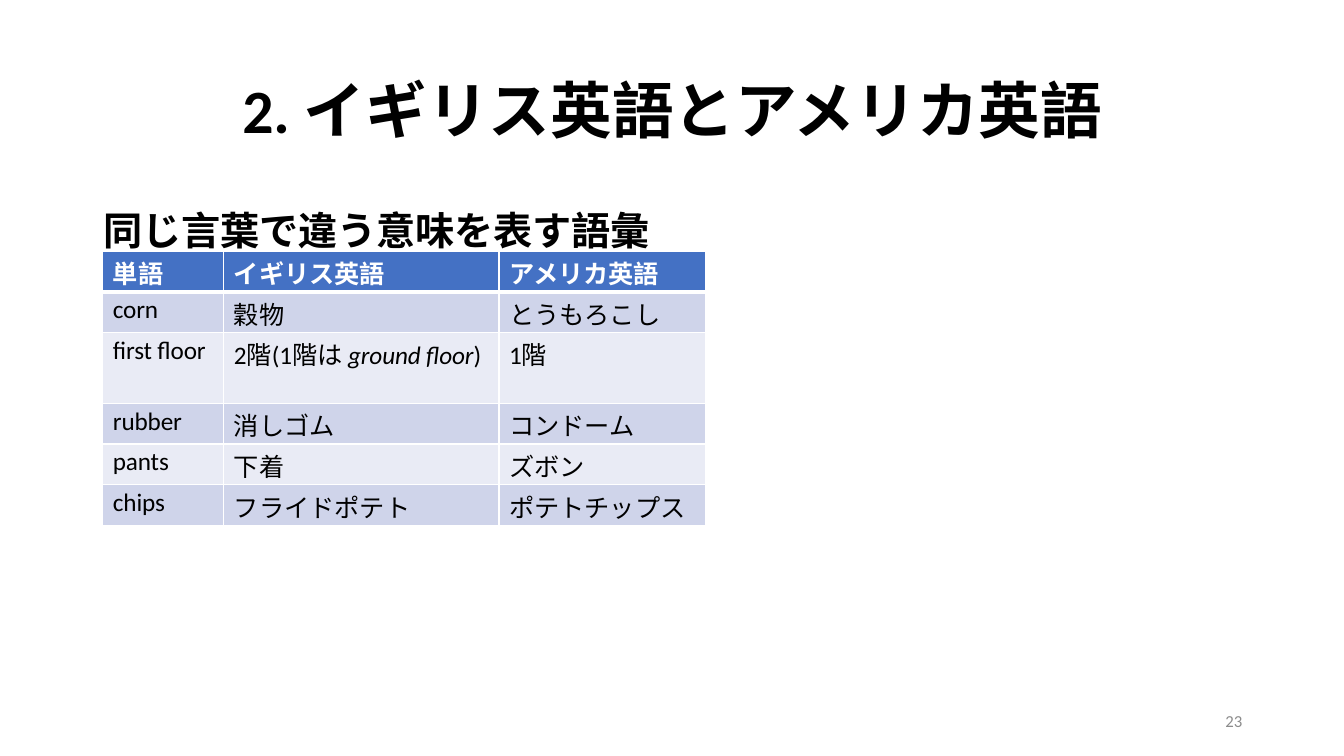
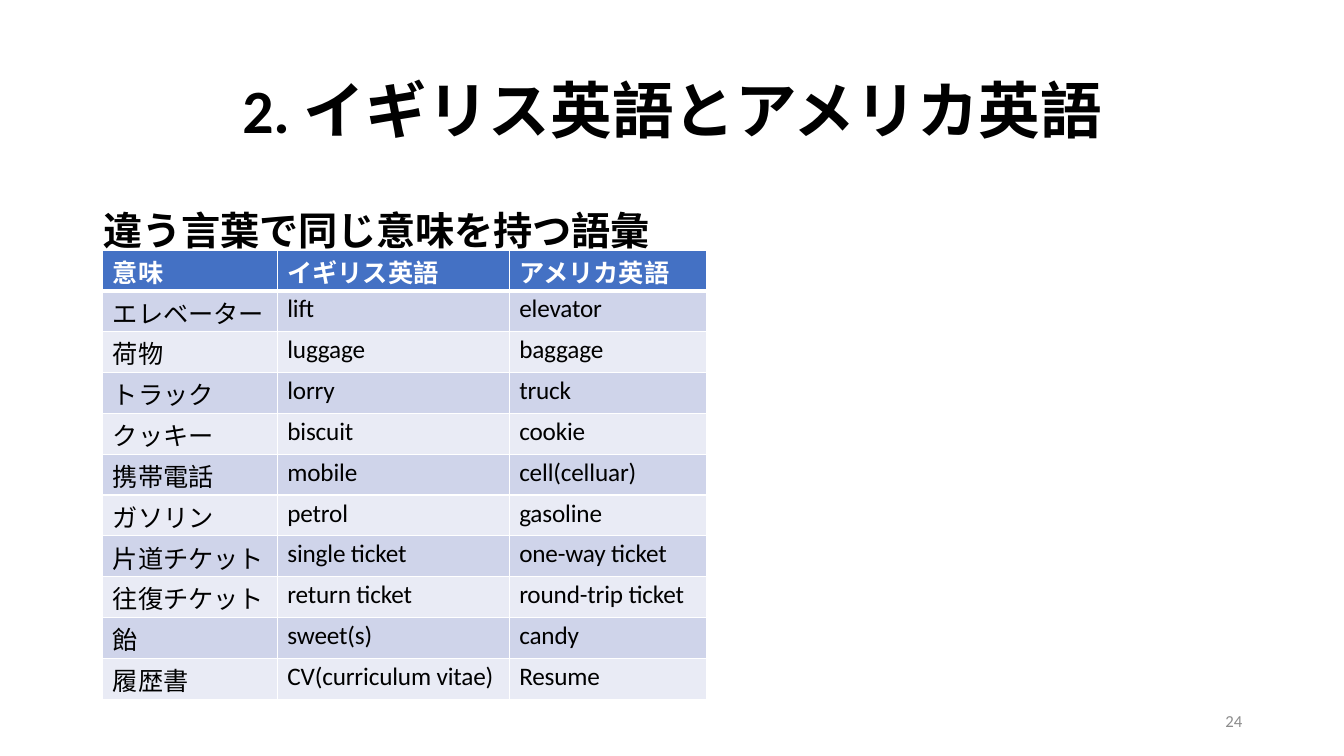
import pptx
import pptx.dml.color
import pptx.enum.text
import pptx.oxml.ns
import pptx.util
from lxml import etree

Inches, Pt = pptx.util.Inches, pptx.util.Pt
RGBColor = pptx.dml.color.RGBColor
PP_ALIGN = pptx.enum.text.PP_ALIGN
MSO_ANCHOR = pptx.enum.text.MSO_ANCHOR
qn = pptx.oxml.ns.qn

# Shared look
BLACK = RGBColor(0x00, 0x00, 0x00)
WHITE = RGBColor(0xFF, 0xFF, 0xFF)
GRAY = RGBColor(0x8C, 0x8C, 0x8C)
HEADER_BLUE = RGBColor(0x44, 0x71, 0xC4)
BANDS = (RGBColor(0xCF, 0xD4, 0xEA), RGBColor(0xE9, 0xEB, 0xF5))
LATIN_FONT, JAPANESE_FONT = "Calibri", "Noto Sans CJK JP"
THIN, THICK = Pt(1), Pt(3)
LEFT, CONTENT_WIDTH = 0.92, 11.5
HEADING_LEFT, TABLE_LEFT = 0.93, 1.02
TWO_LINE_HEIGHT = 0.7

# Content: a cell is a string, or a tuple of runs; a run in a list is italic
TITLE = "2. イギリス英語とアメリカ英語"
SECTIONS = [
    {
        "page": "23",
        "heading": "同じ言葉で違う意味を表す語彙",
        "top": 2.49,
        "height": 2.43,
        "columns": (1.2, 2.73, 2.05),
        "two_line_rows": (2,),
        "rows": [
            ("単語", "イギリス英語", "アメリカ英語"),
            ("corn", "穀物", "とうもろこし"),
            ("first floor",
             ("2", "階", "(1", "階は ", ["ground floor"], ")"),
             ("1", "階")),
            ("rubber", "消しゴム", "コンドーム"),
            ("pants", "下着", "ズボン"),
            ("chips", "フライドポテト", "ポテトチップス"),
        ],
    },
    {
        "page": "24",
        "heading": "違う言葉で同じ意味を持つ語彙",
        "top": 2.48,
        "height": 4.46,
        "columns": (1.73, 2.3, 1.96),
        "two_line_rows": (),
        "rows": [
            ("意味", "イギリス英語", "アメリカ英語"),
            ("エレベーター", "lift", "elevator"),
            ("荷物", "luggage", "baggage"),
            ("トラック", "lorry", "truck"),
            ("クッキー", "biscuit", "cookie"),
            ("携帯電話", "mobile", "cell(celluar)"),
            ("ガソリン", "petrol", "gasoline"),
            ("片道チケット", "single ticket", "one-way ticket"),
            ("往復チケット", "return ticket", "round-trip ticket"),
            ("飴", "sweet(s)", "candy"),
            ("履歴書", "CV(curriculum vitae)", "Resume"),
        ],
    },
]


def add_run(paragraph, text, size, color, bold=False, italic=False,
            latin=LATIN_FONT, spacing=0):
    run = paragraph.add_run()
    run.text = text
    font = run.font
    font.size, font.bold, font.italic = Pt(size), bold, italic
    font.color.rgb = color
    font.name = latin
    properties = run._r.get_or_add_rPr()
    properties.set("spc", str(round(spacing * 100)))
    east_asian = etree.SubElement(properties, qn("a:ea"))
    east_asian.set("typeface", JAPANESE_FONT)


def add_text(slide, box, text, size, color, align, anchor,
             line_spacing=1.0, **run_style):
    frame = slide.shapes.add_textbox(*map(Inches, box)).text_frame
    frame.word_wrap = True
    frame.vertical_anchor = anchor
    paragraph = frame.paragraphs[0]
    paragraph.alignment = align
    paragraph.line_spacing = line_spacing
    add_run(paragraph, text, size, color, **run_style)


def set_borders(cell, top, bottom):
    properties = cell._tc.get_or_add_tcPr()
    widths = {"a:lnL": THIN, "a:lnR": THIN, "a:lnT": top, "a:lnB": bottom}
    for position, (tag, width) in enumerate(widths.items()):
        line = etree.Element(qn(tag), w=str(width))
        fill = etree.SubElement(line, qn("a:solidFill"))
        etree.SubElement(fill, qn("a:srgbClr"), val=str(WHITE))
        properties.insert(position, line)


def fill_cell(cell, content, row_index):
    is_header = row_index == 0
    cell.margin_left, cell.margin_top = Inches(0.1), Inches(0.03)
    cell.margin_right = cell.margin_bottom = 0
    cell.fill.solid()
    cell.fill.fore_color.rgb = (
        HEADER_BLUE if is_header else BANDS[(row_index - 1) % 2])
    set_borders(cell, THICK if row_index == 1 else THIN,
                THICK if is_header else THIN)
    for piece in (content,) if isinstance(content, str) else content:
        italic = isinstance(piece, list)
        text = piece[0] if italic else piece
        english = text.isascii()
        add_run(cell.text_frame.paragraphs[0], text, 18,
                WHITE if is_header else BLACK, bold=is_header, italic=italic,
                latin=LATIN_FONT if english else JAPANESE_FONT,
                spacing=-0.1 if english else 0)


def add_vocabulary(slide, section):
    rows, columns = section["rows"], section["columns"]
    line_height = section["height"] / len(rows)
    table = slide.shapes.add_table(
        len(rows), len(columns), Inches(TABLE_LEFT), Inches(section["top"]),
        Inches(sum(columns)), Inches(section["height"])).table
    for column, width in zip(table.columns, columns):
        column.width = Inches(width)
    for row_index, contents in enumerate(rows):
        wraps = row_index in section["two_line_rows"]
        table.rows[row_index].height = Inches(
            TWO_LINE_HEIGHT if wraps else line_height)
        for column_index, content in enumerate(contents):
            fill_cell(table.cell(row_index, column_index), content, row_index)


def add_section(deck, section):
    slide = deck.slides.add_slide(deck.slide_layouts[6])
    # Title and page number
    add_text(slide, (LEFT, 0.4, CONTENT_WIDTH, 1.45), TITLE, 44, BLACK,
             PP_ALIGN.CENTER, MSO_ANCHOR.MIDDLE, 0.9, bold=True)
    add_text(slide, (9.42, 6.95, 3, 0.4), section["page"], 12, GRAY,
             PP_ALIGN.RIGHT, MSO_ANCHOR.MIDDLE)
    # Heading and word table
    add_text(slide, (HEADING_LEFT, 2, CONTENT_WIDTH, 4.76),
             section["heading"], 28, BLACK, PP_ALIGN.LEFT, MSO_ANCHOR.TOP,
             bold=True, latin=JAPANESE_FONT, spacing=-0.1)
    add_vocabulary(slide, section)


def main():
    deck = pptx.Presentation()
    deck.slide_width, deck.slide_height = Inches(13.33), Inches(7.5)
    for section in SECTIONS:
        add_section(deck, section)
    deck.save("out.pptx")


if __name__ == "__main__":
    main()
